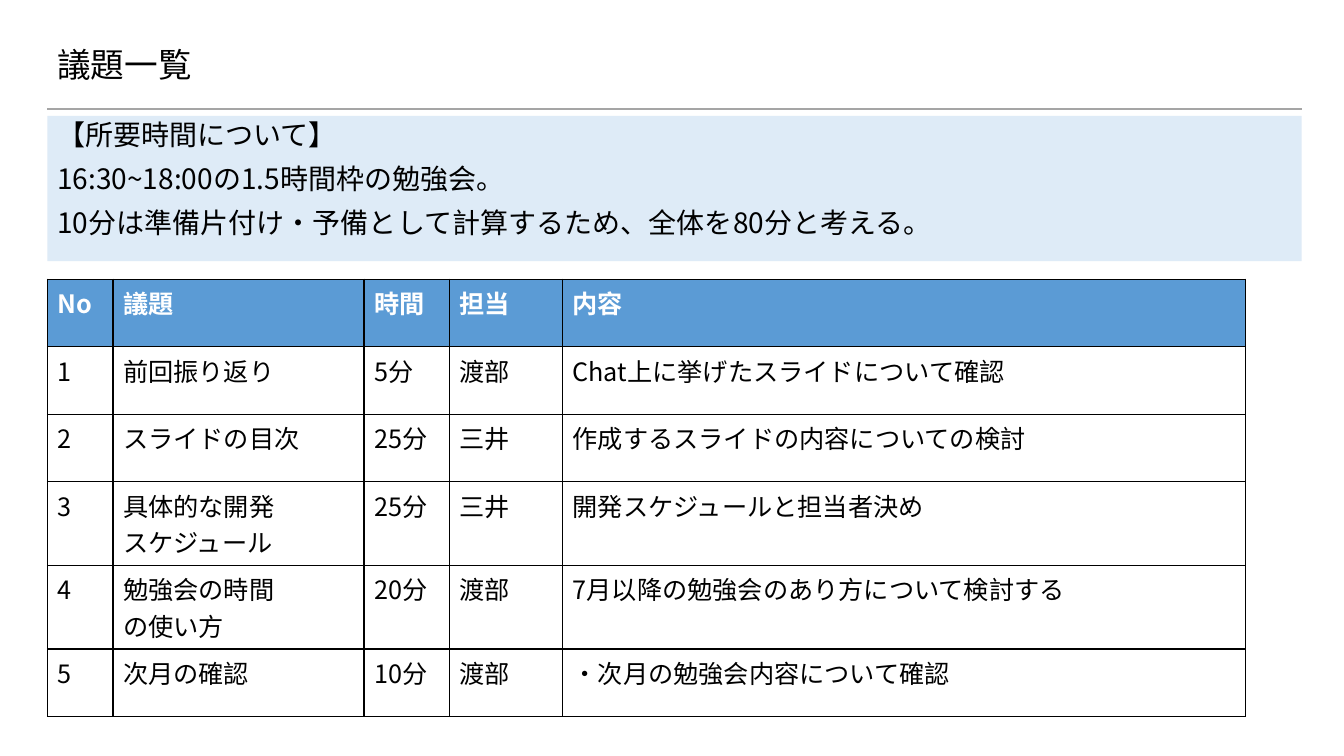
from lxml.etree import SubElement
from pptx import Presentation
from pptx.dml.color import RGBColor
from pptx.enum.shapes import MSO_CONNECTOR as Connector, MSO_SHAPE as Shape
from pptx.enum.text import MSO_ANCHOR as Anchor, PP_ALIGN as Align
from pptx.oxml.ns import qn
from pptx.util import Inches, Pt

FONT = "Noto Sans CJK JP"
LEFT, WIDTH = 0.47, 12.44
BLACK, WHITE, BLUE, PALE_BLUE, GRAY = "000000", "FFFFFF", "5B9BD5", "DEEBF7", "A5A5A5"

TITLE = "議題一覧"
TIME_NOTES = [
    "【所要時間について】",
    "16:30~18:00の1.5時間枠の勉強会。",
    "10分は準備片付け・予備として計算するため、全体を80分と考える。",
]
AGENDA = [
    ("No", "議題", "時間", "担当", "内容"),
    ("1", "前回振り返り", "5分", "渡部", "Chat上に挙げたスライドについて確認"),
    ("2", "スライドの目次", "25分", "三井", "作成するスライドの内容についての検討"),
    ("3", "具体的な開発\nスケジュール", "25分", "三井", "開発スケジュールと担当者決め"),
    ("4", "勉強会の時間\nの使い方", "20分", "渡部", "7月以降の勉強会のあり方について検討する"),
    ("5", "次月の確認", "10分", "渡部", "・次月の勉強会内容について確認"),
]
COLUMN_WIDTHS = [0.65, 2.49, 0.85, 1.12, 6.77]
ONE_LINE_HEIGHT, TWO_LINE_HEIGHT = 0.67, 0.83


def color(value):
    return RGBColor.from_string(value)


def write(frame, lines, size=18, ink=BLACK, bold=False, spacing=None, gap=0):
    """Fill a text frame with one paragraph per line."""
    frame.word_wrap = True
    for index, line in enumerate(lines):
        paragraph = frame.paragraphs[0] if index == 0 else frame.add_paragraph()
        paragraph.alignment = Align.LEFT
        if spacing:
            paragraph.line_spacing = spacing
        if index and gap:
            paragraph.space_before = Pt(gap)
        run = paragraph.add_run()
        run.text = line
        run.font.name, run.font.size, run.font.bold = FONT, Pt(size), bold
        run.font.color.rgb = color(ink)
        SubElement(run._r.get_or_add_rPr(), qn("a:ea"), typeface=FONT)


def add_borders(cell, ink=BLACK, width=1):
    """Line all four sides; borders must come before the cell fill."""
    properties = cell._tc.get_or_add_tcPr()
    for side in ("a:lnL", "a:lnR", "a:lnT", "a:lnB"):
        border = SubElement(properties, qn(side), w=str(Pt(width)))
        fill = SubElement(border, qn("a:solidFill"))
        SubElement(fill, qn("a:srgbClr"), val=ink)


def add_heading(slide, left, top, width, height):
    # Title text
    box = slide.shapes.add_textbox(Inches(left), Inches(top), Inches(11.5), Inches(0.59))
    box.text_frame.vertical_anchor = Anchor.MIDDLE
    write(box.text_frame, [TITLE], size=24, spacing=0.9)
    # Rule under the title
    bottom = Inches(top + height)
    rule = slide.shapes.add_connector(
        Connector.STRAIGHT, Inches(left), bottom, Inches(left + width), bottom)
    rule.line.color.rgb = color(GRAY)
    rule.line.width = Pt(1.5)
    SubElement(rule._element.spPr, qn("a:effectLst"))


def add_time_notes(slide, left, top, width, height):
    band = slide.shapes.add_shape(
        Shape.RECTANGLE, Inches(left), Inches(top), Inches(width), Inches(height))
    band.shadow.inherit = False
    band.fill.solid()
    band.fill.fore_color.rgb = color(PALE_BLUE)
    band.line.fill.background()
    band.text_frame.vertical_anchor = Anchor.TOP
    write(band.text_frame, TIME_NOTES, size=20, spacing=0.9, gap=10)


def add_agenda(slide, left, top):
    # Rows with a two-line topic are taller
    heights = [TWO_LINE_HEIGHT if "\n" in texts[1] else ONE_LINE_HEIGHT for texts in AGENDA]
    table = slide.shapes.add_table(
        len(AGENDA), len(COLUMN_WIDTHS), Inches(left), Inches(top),
        Inches(sum(COLUMN_WIDTHS)), Inches(sum(heights))).table
    for column, width in zip(table.columns, COLUMN_WIDTHS):
        column.width = Inches(width)
    for row_index, texts in enumerate(AGENDA):
        table.rows[row_index].height = Inches(heights[row_index])
        header = row_index == 0
        for column_index, text in enumerate(texts):
            cell = table.cell(row_index, column_index)
            add_borders(cell)
            cell.fill.solid()
            cell.fill.fore_color.rgb = color(BLUE if header else WHITE)
            write(cell.text_frame, text.split("\n"),
                  ink=WHITE if header else BLACK, bold=header)


presentation = Presentation()
presentation.slide_width, presentation.slide_height = Inches(13.33), Inches(7.5)
slide = presentation.slides.add_slide(presentation.slide_layouts[6])
add_heading(slide, LEFT, 0.37, WIDTH, 0.71)
add_time_notes(slide, LEFT, 1.15, WIDTH, 1.44)
add_agenda(slide, LEFT, 2.77)
presentation.save("out.pptx")
